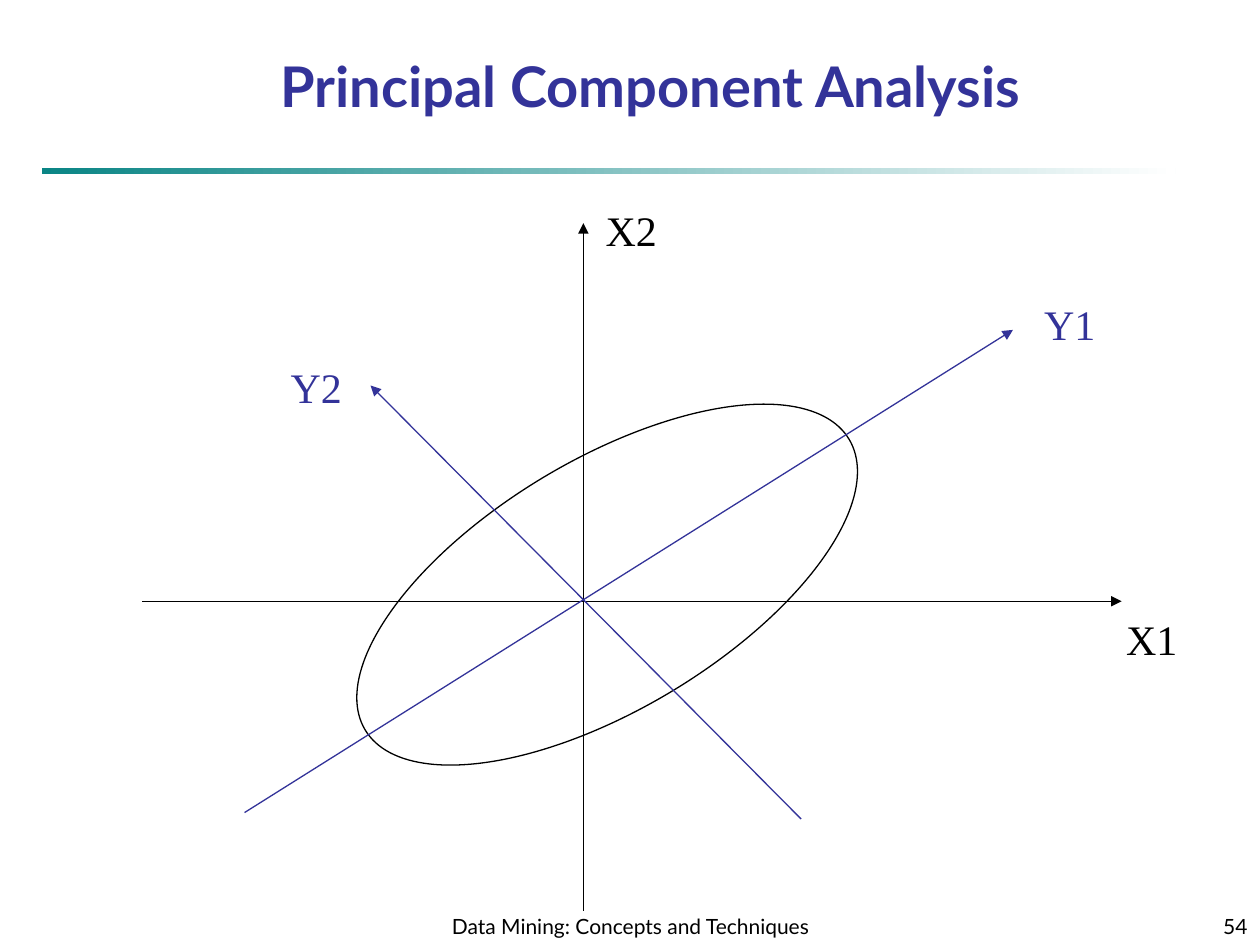
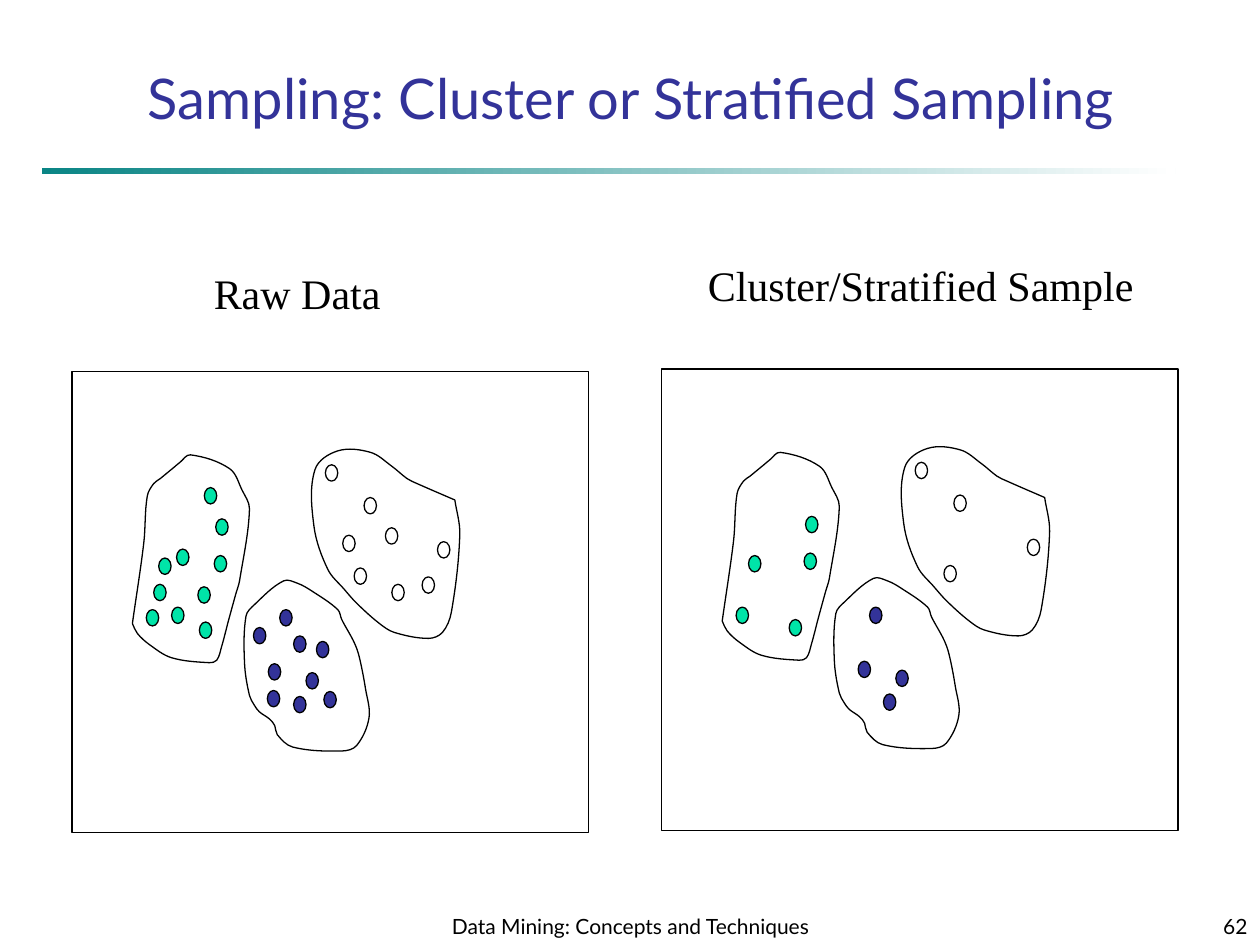
from dataclasses import dataclass

from lxml.etree import SubElement
from pptx import Presentation
from pptx.dml.color import RGBColor
from pptx.enum.shapes import MSO_CONNECTOR as Connector, MSO_SHAPE as Preset
from pptx.enum.text import MSO_ANCHOR as Anchor, PP_ALIGN as Align
from pptx.oxml.ns import qn
from pptx.util import Cm, Pt


@dataclass(frozen=True)
class Theme:
    ink: str = "000000"
    paper: str = "FFFFFF"
    indigo: str = "333399"
    mint: str = "00E4A8"
    teal: str = "0A8585"
    heading_font: str = "Lato"
    label_font: str = "Times New Roman"
    title_size: int = 32
    label_size: int = 24
    footer_size: int = 12
    line_width: float = 0.75


THEME = Theme()
FOOTER = "Data Mining: Concepts and Techniques"
DOT_SIZE = (0.25, 0.33)
PANEL_SIZE = (10.41, 9.3)

AXES = [
    ("X1", (2.87, 12.12), (22.61, 12.12), (22.45, 12.24), THEME.ink),
    ("X2", (11.76, 18.36), (11.76, 4.5), (11.96, 3.99), THEME.ink),
    ("Y1", (4.93, 16.38), (20.42, 6.65), (20.8, 5.89), THEME.indigo),
    ("Y2", (16.15, 16.51), (7.47, 7.77), (5.61, 7.16), THEME.indigo),
]


@dataclass(frozen=True)
class Cluster:
    color: str
    sampled: list
    unsampled: list
    outline: list


CLUSTERS = [
    Cluster(
        THEME.paper,
        [(5.89, 2.54), (5.69, 3.96), (7.37, 3.43), (5.11, 1.88)],
        [(6.32, 3.15), (5.46, 3.3), (7.06, 4.14), (6.45, 4.29)],
        [(7.72, 2.59), (7.72, 2.59), (7.82, 3.28), (7.65, 4.85), (7.47, 5.26),
         (7.19, 5.38), (6.5, 5.26), (6.2, 5.08), (5.74, 4.67), (5.49, 4.39),
         (5.16, 3.99), (4.88, 3.12), (4.9, 1.98), (5.36, 1.6), (6.02, 1.63),
         (6.45, 1.91), (6.76, 2.16), (6.96, 2.26)],
    ),
    Cluster(
        THEME.indigo,
        [(4.47, 6.55), (4.72, 6.07), (3.96, 5.89), (4.19, 4.8)],
        [(3.66, 5.16), (4.93, 5.44), (3.94, 6.43), (4.47, 5.33), (5.08, 6.45)],
        [(4.09, 7.14), (3.99, 7.01), (3.78, 6.86), (3.68, 6.73), (3.58, 6.53),
         (3.48, 5.87), (3.51, 4.93), (3.68, 4.7), (4.27, 4.22), (4.55, 4.27),
         (4.83, 4.42), (5.36, 4.8), (5.44, 5.0), (5.69, 5.46), (5.79, 5.74),
         (5.92, 6.4), (5.99, 6.98), (5.74, 7.54), (5.44, 7.65), (4.45, 7.57),
         (4.14, 7.32)],
    ),
    Cluster(
        THEME.mint,
        [(1.5, 4.8), (1.75, 3.76), (2.57, 5.05), (2.87, 3.71), (2.9, 2.97)],
        [(2.01, 4.75), (1.65, 4.29), (2.54, 4.34), (2.11, 3.58), (2.67, 2.34)],
        [(3.3, 4.5), (3.15, 5.05), (3.02, 5.54), (2.92, 5.82), (2.77, 5.87),
         (2.01, 5.77), (1.57, 5.51), (1.32, 5.28), (1.22, 5.08), (1.22, 5.08),
         (1.45, 3.45), (1.52, 2.51), (1.65, 2.26), (1.78, 2.16), (2.06, 1.93),
         (2.18, 1.83), (2.39, 1.68), (3.18, 1.96), (3.43, 2.39), (3.58, 2.77),
         (3.38, 4.22)],
    ),
]


def round_segments(shape):
    """Turn the straight segments of a closed freeform into smooth curves."""
    points = shape._element.findall(".//" + qn("a:pt"))
    knots = [complex(int(point.get("x")), int(point.get("y"))) for point in points[:-1]]
    count = len(knots)
    tangents = []
    for index in range(count):
        direction = knots[(index + 1) % count] - knots[index - 1]
        tangents.append(direction / abs(direction))
    for index, point in enumerate(points[1:]):
        following = (index + 1) % count
        start, end = knots[index], knots[following]
        reach = abs(end - start) / 3
        handles = (start + tangents[index] * reach, end - tangents[following] * reach, end)
        segment = point.getparent()
        outline = segment.getparent()
        curve = SubElement(outline, qn("a:cubicBezTo"))
        for spot in handles:
            SubElement(curve, qn("a:pt"), x=str(round(spot.real)), y=str(round(spot.imag)))
        outline.replace(segment, curve)


class SlideBuilder:
    """Hold the theme and the current slide, and draw each kind of element."""

    def __init__(self, deck, theme):
        self.deck = deck
        self.theme = theme
        self.page = None

    def new_page(self, number):
        self.page = self.deck.slides.add_slide(self.deck.slide_layouts[6])
        band = self.shape(Preset.RECTANGLE, (0.84, 3.38), (22.86, 0.13))
        band.line.fill.background()
        band.fill.gradient()
        band.fill.gradient_angle = 0
        for stop, color in zip(band.fill.gradient_stops, (self.theme.teal, self.theme.paper)):
            stop.color.rgb = RGBColor.from_string(color)
        self.footer(FOOTER, (8.69, 17.98), (8.05, 1.07), Align.CENTER)
        self.footer(str(number), (20.12, 17.98), (5.28, 1.07), Align.RIGHT)

    def text(self, words, at, size, font, points, color, align=Align.LEFT,
             anchor=Anchor.TOP, bold=False, wrap=True):
        box = self.page.shapes.add_textbox(*map(Cm, at + size))
        frame = box.text_frame
        frame.text = words
        frame.word_wrap = wrap
        frame.vertical_anchor = anchor
        para = frame.paragraphs[0]
        para.alignment = align
        span = para.runs[0]
        span.font.name = font
        span.font.size = Pt(points)
        span.font.bold = bold
        span.font.color.rgb = RGBColor.from_string(color)

    def title(self, words, at, size, anchor, bold=False):
        self.text(words, at, size, self.theme.heading_font, self.theme.title_size,
                  self.theme.indigo, Align.CENTER, anchor, bold)

    def footer(self, words, at, size, align):
        self.text(words, at, size, self.theme.heading_font, self.theme.footer_size,
                  self.theme.ink, align, Anchor.BOTTOM)

    def label(self, words, at, width, color):
        self.text(words, at, (width, 1.27), self.theme.label_font,
                  self.theme.label_size, color, wrap=False)

    def style(self, shape, fill=None):
        shape.shadow.inherit = False
        shape.line.color.rgb = RGBColor.from_string(self.theme.ink)
        shape.line.width = Pt(self.theme.line_width)
        if fill:
            shape.fill.solid()
            shape.fill.fore_color.rgb = RGBColor.from_string(fill)
        else:
            shape.fill.background()
        return shape

    def shape(self, preset, at, size, fill=None):
        return self.style(self.page.shapes.add_shape(preset, *map(Cm, at + size)), fill)

    def outline(self, points):
        start, *rest = [(Cm(x), Cm(y)) for x, y in points]
        builder = self.page.shapes.build_freeform(*start)
        builder.add_line_segments(rest + [start], close=True)
        shape = self.style(builder.convert_to_shape())
        round_segments(shape)

    def arrow(self, start, end, color):
        line = self.page.shapes.add_connector(Connector.STRAIGHT, *map(Cm, start + end))
        line.line.color.rgb = RGBColor.from_string(color)
        line.line.width = Pt(self.theme.line_width)
        SubElement(line.line._get_or_add_ln(), qn("a:tailEnd"), type="triangle")
        SubElement(line._element.spPr, qn("a:effectLst"))

    def panel(self, at, with_unsampled):
        def place(spot):
            return at[0] + spot[0], at[1] + spot[1]

        self.shape(Preset.RECTANGLE, at, PANEL_SIZE)
        for cluster in CLUSTERS:
            self.outline([place(point) for point in cluster.outline])
            dots = cluster.sampled + (cluster.unsampled if with_unsampled else [])
            for dot in dots:
                self.shape(Preset.FLOWCHART_CONNECTOR, place(dot), DOT_SIZE, cluster.color)


def component_page(builder):
    builder.new_page(54)
    builder.title("Principal Component Analysis", (3.81, 0.91), (18.62, 1.63),
                  Anchor.TOP, bold=True)
    ellipse = builder.shape(Preset.OVAL, (6.55, 9.27), (11.38, 5.03))
    ellipse.rotation = 329
    for name, start, end, label_at, color in AXES:
        builder.arrow(start, end, color)
        builder.label(name, label_at, 1.55, color)


def sampling_page(builder):
    builder.new_page(62)
    builder.title("Sampling: Cluster or Stratified Sampling", (0.64, 1.07), (24.18, 1.7),
                  Anchor.BOTTOM)
    builder.label("Raw Data", (4.06, 5.26), 4.06, THEME.ink)
    builder.label("Cluster/Stratified Sample", (14.02, 5.11), 9.09, THEME.ink)
    builder.panel((1.45, 7.49), with_unsampled=True)
    builder.panel((13.34, 7.44), with_unsampled=False)


def main():
    deck = Presentation()
    deck.slide_width = Cm(25.4)
    deck.slide_height = Cm(19.05)
    builder = SlideBuilder(deck, THEME)
    component_page(builder)
    sampling_page(builder)
    deck.save("out.pptx")


if __name__ == "__main__":
    main()
